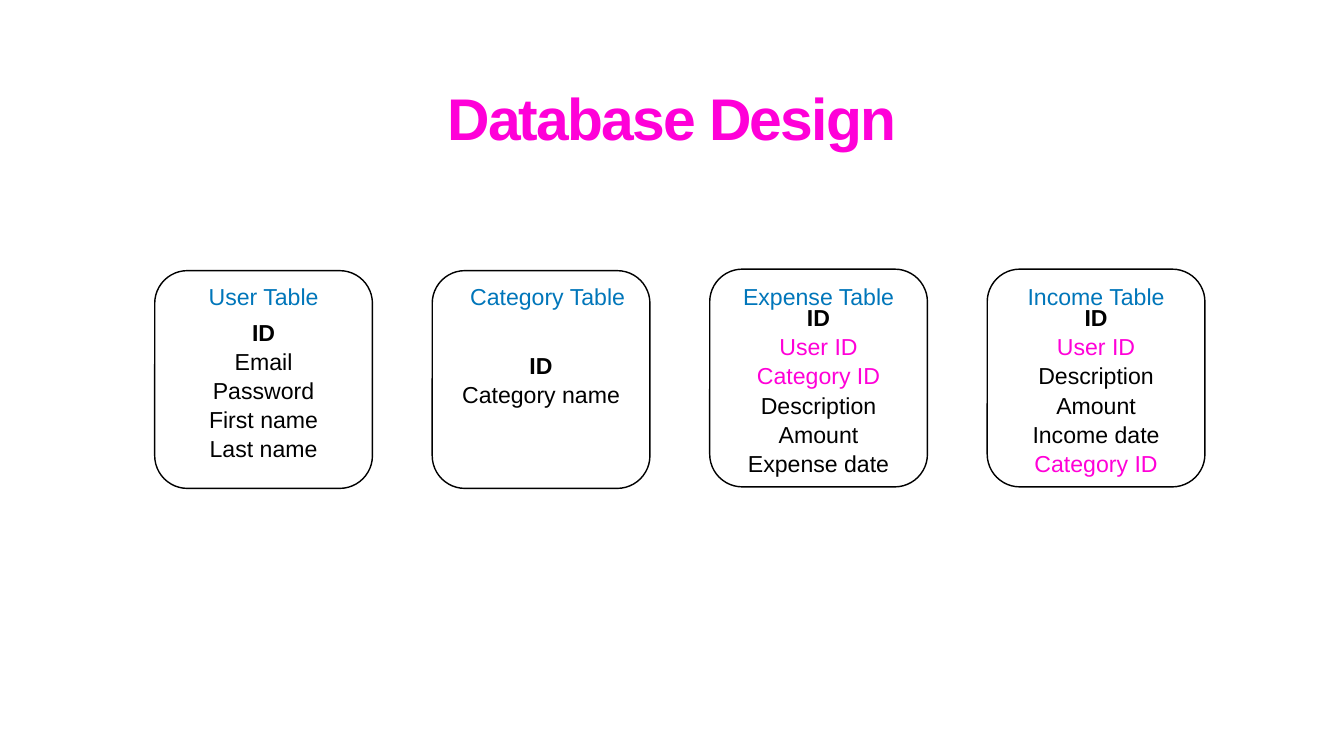
import pptx
import pptx.dml.color
import pptx.enum.shapes
import pptx.enum.text
import pptx.util

Inches = pptx.util.Inches
Pt = pptx.util.Pt
RGBColor = pptx.dml.color.RGBColor
Anchor = pptx.enum.text.MSO_ANCHOR

PINK = RGBColor(0xFF, 0x00, 0xD8)
BLUE = RGBColor(0x00, 0x76, 0xBA)
BLACK = RGBColor(0x00, 0x00, 0x00)

SIDE = 4.32
LEFT = 3.07
PITCH = (19.59 - LEFT) / 3
LINE = 0.52
PAD = 0.06
KEYS = ("User ID", "Category ID")

TABLES = [
    dict(name="User Table", top=5.37, wide=2.31, span=2.29, mid=7.73,
         fields=["ID", "Email", "Password", "First name", "Last name"]),
    dict(name="Category Table", top=5.37, wide=3.2, span=3.26, mid=7.53, shift=0.13,
         fields=["ID", "Category name"]),
    dict(name="Expense Table", top=5.34, wide=3.12, span=2.93, mid=7.73,
         fields=["ID", "User ID", "Category ID", "Description", "Amount", "Expense date"]),
    dict(name="Income Table", top=5.34, wide=2.84, span=2.65, mid=7.73,
         fields=["ID", "User ID", "Description", "Amount", "Income date", "Category ID"]),
]


def add_text(slide, lines, left, top, width, height, size=33, color=BLACK,
             bold=False, anchor=Anchor.MIDDLE, wrap=False, space=None, track=None):
    box = slide.shapes.add_textbox(Inches(left), Inches(top), Inches(width), Inches(height))
    frame = box.text_frame
    frame.word_wrap = wrap
    frame.vertical_anchor = anchor
    frame.margin_left = frame.margin_right = Inches(PAD)
    frame.margin_top = frame.margin_bottom = Inches(PAD)
    for i, line in enumerate(lines):
        para = frame.paragraphs[0] if i == 0 else frame.add_paragraph()
        para.alignment = pptx.enum.text.PP_ALIGN.CENTER
        para.line_spacing = space
        run = para.add_run()
        run.text = line
        font = run.font
        font.name = "Arial"
        font.size = Pt(size)
        font.bold = bold or line == "ID"
        font.color.rgb = PINK if line in KEYS else color
        if track is not None:
            run._r.get_or_add_rPr().set("spc", str(round(track * 100)))


def add_card(slide, left, top):
    card = slide.shapes.add_shape(
        pptx.enum.shapes.MSO_SHAPE.ROUNDED_RECTANGLE,
        Inches(left), Inches(top), Inches(SIDE), Inches(SIDE))
    card.adjustments[0] = 0.15
    card.shadow.inherit = False
    card.fill.background()
    card.line.color.rgb = BLACK
    card.line.width = Pt(2)


def add_entity(slide, left, name, top, wide, span, mid, fields, shift=0):
    center = left + SIDE / 2
    height = LINE * len(fields) + 2 * PAD
    add_card(slide, left, top)
    add_text(slide, [name], center + shift - wide / 2, 5.56, wide, 0.62, color=BLUE)
    add_text(slide, fields, center - span / 2, mid - height / 2, span, height, space=1.05)


def main():
    deck = pptx.Presentation()
    deck.slide_width = Inches(26.67)
    deck.slide_height = Inches(15)
    slide = deck.slides.add_slide(deck.slide_layouts[6])
    add_text(slide, ["Database Design"], 1.39, 1.38, 23.89, 1.7, size=84, color=PINK,
             bold=True, anchor=Anchor.BOTTOM, wrap=True, space=0.8, track=-2.5)
    for i, table in enumerate(TABLES):
        add_entity(slide, LEFT + i * PITCH, **table)
    deck.save("out.pptx")


if __name__ == "__main__":
    main()
